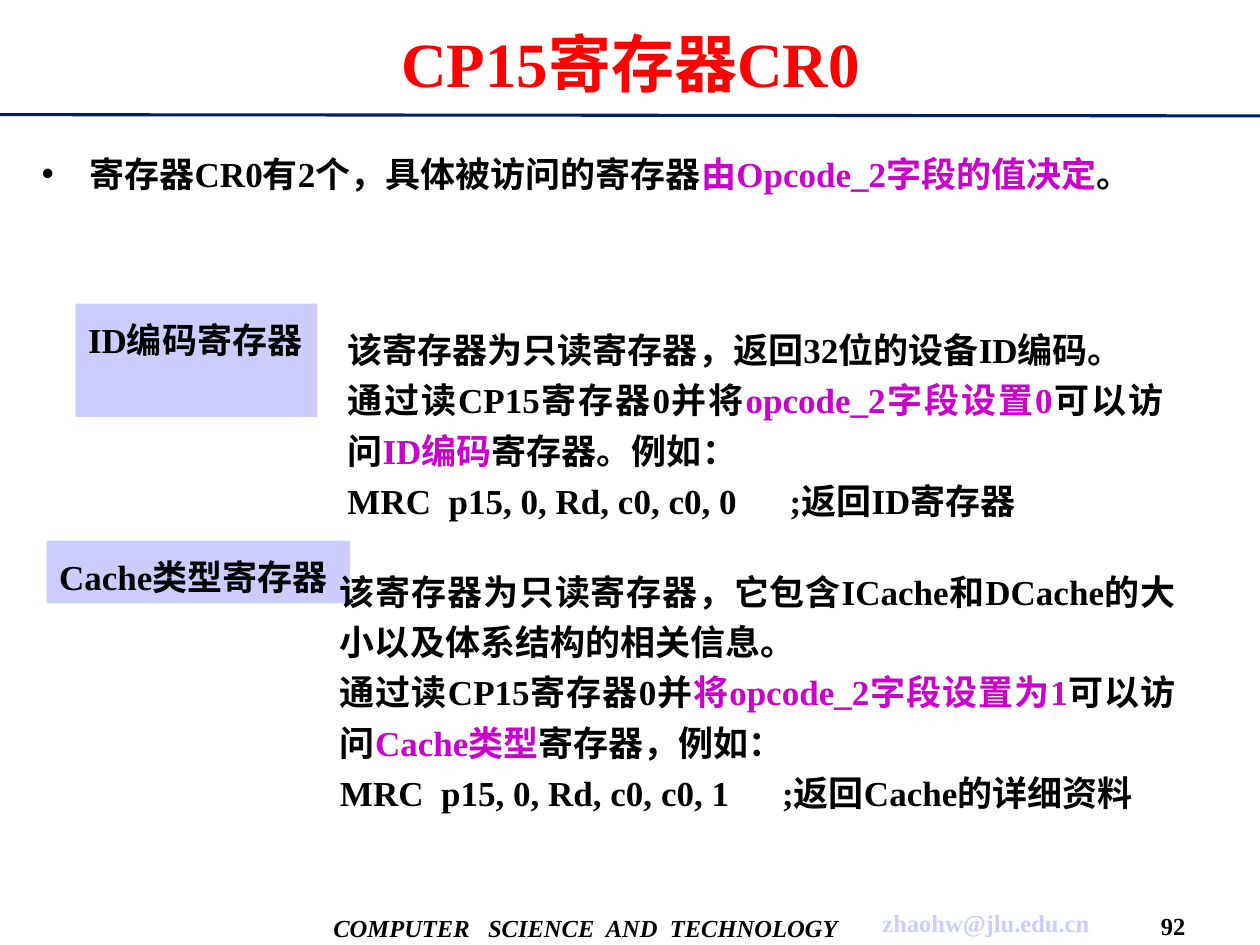
from lxml.etree import SubElement
from pptx import Presentation
from pptx.dml.color import RGBColor
from pptx.enum.shapes import MSO_CONNECTOR as CONNECTOR, MSO_SHAPE as SHAPE
from pptx.enum.text import MSO_ANCHOR as ANCHOR, MSO_AUTO_SIZE as FIT, PP_ALIGN as ALIGN
from pptx.oxml.ns import qn
from pptx.util import Inches, Pt

COLORS = {
    "text": "000000",
    "title": "FF0000",
    "accent": "CC00CC",
    "label": "CCCCFF",
    "rule": "001E64",
}
FONT = "Times New Roman"
COMMENT_TAB = 3.51


def color(name):
    """Return the named colour."""
    return RGBColor.from_string(COLORS[name])


def write(para, text, size=20, fill="text", italic=False, align=None, spacing=None):
    """Write text into a paragraph, with *starred* parts in the accent colour."""
    para.alignment = align
    para.line_spacing = spacing
    para.space_before = Pt(0)
    for index, part in enumerate(text.split("*")):
        if part:
            span = para.add_run()
            span.text = part
            span.font.name = FONT
            span.font.size = Pt(size)
            span.font.bold = True
            span.font.italic = italic
            span.font.color.rgb = color("accent" if index % 2 else fill)


def place(shape, box):
    """Move a shape to the box given in inches."""
    shape.left, shape.top, shape.width, shape.height = map(Inches, box)


def add_title(page, box, text):
    """Fill the title placeholder."""
    title = page.shapes.title
    place(title, box)
    title.text_frame.vertical_anchor = ANCHOR.MIDDLE
    write(title.text_frame.paragraphs[0], text, size=36, fill="title", align=ALIGN.CENTER)


def add_rule(page, start, end):
    """Draw the line below the title."""
    rule = page.shapes.add_connector(CONNECTOR.STRAIGHT, *map(Inches, start + end))
    rule.line.color.rgb = color("rule")
    rule.line.width = Pt(1.75)
    SubElement(rule._element.spPr, qn("a:effectLst"))


def add_summary(page, box, text):
    """Fill the body placeholder with one bulleted paragraph."""
    body = page.placeholders[1]
    place(body, box)
    frame = body.text_frame
    frame.auto_size = FIT.NONE
    frame.vertical_anchor = ANCHOR.TOP
    para = frame.paragraphs[0]
    write(para, text, align=ALIGN.LEFT, spacing=1.2)
    props = para._p.get_or_add_pPr()
    props.set("marL", str(Inches(0.38)))
    props.set("indent", str(-Inches(0.38)))
    bullet_color = SubElement(props, qn("a:buClr"))
    SubElement(bullet_color, qn("a:srgbClr"), val=COLORS["text"])
    SubElement(props, qn("a:buChar"), char="•")


def add_label(page, box, text):
    """Add a filled label naming a register."""
    label = page.shapes.add_shape(SHAPE.RECTANGLE, *map(Inches, box))
    label.shadow.inherit = False
    label.fill.solid()
    label.fill.fore_color.rgb = color("label")
    label.line.fill.background()
    frame = label.text_frame
    frame.word_wrap = True
    frame.auto_size = FIT.SHAPE_TO_FIT_TEXT
    frame.vertical_anchor = ANCHOR.TOP
    write(frame.paragraphs[0], text, align=ALIGN.LEFT, spacing=1.2)


def add_description(page, box, sentences, code):
    """Add justified sentences followed by a line of code with its comment."""
    frame = page.shapes.add_textbox(*map(Inches, box)).text_frame
    frame.word_wrap = True
    frame.auto_size = FIT.SHAPE_TO_FIT_TEXT
    for index, sentence in enumerate(sentences):
        para = frame.add_paragraph() if index else frame.paragraphs[0]
        write(para, sentence, align=ALIGN.JUSTIFY, spacing=1.2)
    para = frame.add_paragraph()
    write(para, code, align=ALIGN.LEFT, spacing=1.2)
    tabs = SubElement(para._p.get_or_add_pPr(), qn("a:tabLst"))
    SubElement(tabs, qn("a:tab"), pos=str(Inches(COMMENT_TAB)), algn="l")


def add_footer_item(page, box, text, **style):
    """Add one centred footer text that uses the full width of its box."""
    frame = page.shapes.add_textbox(*map(Inches, box)).text_frame
    frame.word_wrap = False
    frame.margin_left = frame.margin_right = Inches(0)
    frame.vertical_anchor = ANCHOR.MIDDLE
    write(frame.paragraphs[0], text, size=14, align=ALIGN.CENTER, **style)


def main():
    """Build and save the slide."""
    deck = Presentation()
    deck.slide_width, deck.slide_height = Inches(10), Inches(7.5)
    page = deck.slides.add_slide(deck.slide_layouts[1])

    add_rule(page, (0, 0.91), (10, 0.92))
    add_footer_item(page, (2.55, 7.15, 4.2, 0.42), "COMPUTER   SCIENCE  AND  TECHNOLOGY", italic=True)
    add_footer_item(page, (6.92, 7.14, 1.81, 0.36), "zhaohw@jlu.edu.cn", fill="label")
    add_footer_item(page, (9.09, 7.19, 0.44, 0.31), "92")
    add_title(page, (0.32, 0.08, 9.37, 0.83), "CP15寄存器CR0")
    add_summary(page, (0.23, 1.09, 9.52, 0.64),
                "寄存器CR0有2个，具体被访问的寄存器*由Opcode_2字段的值决定*。")
    add_label(page, (0.6, 2.41, 1.92, 0.9), "ID编码寄存器")
    add_label(page, (0.37, 4.29, 2.41, 0.5), "Cache类型寄存器")
    add_description(
        page, (2.66, 2.49, 6.67, 1.7),
        ["该寄存器为只读寄存器，返回32位的设备ID编码。",
         "通过读CP15寄存器0并将*opcode_2字段设置0*可以访问*ID编码*寄存器。例如："],
        "MRC  p15, 0, Rd, c0, c0, 0\t;返回ID寄存器")
    add_description(
        page, (2.6, 4.41, 6.83, 2.5),
        ["该寄存器为只读寄存器，它包含ICache和DCache的大小以及体系结构的相关信息。",
         "通过读CP15寄存器0并*将opcode_2字段设置为1*可以访问*Cache类型*寄存器，例如："],
        "MRC  p15, 0, Rd, c0, c0, 1\t;返回Cache的详细资料")
    deck.save("out.pptx")


if __name__ == "__main__":
    main()
